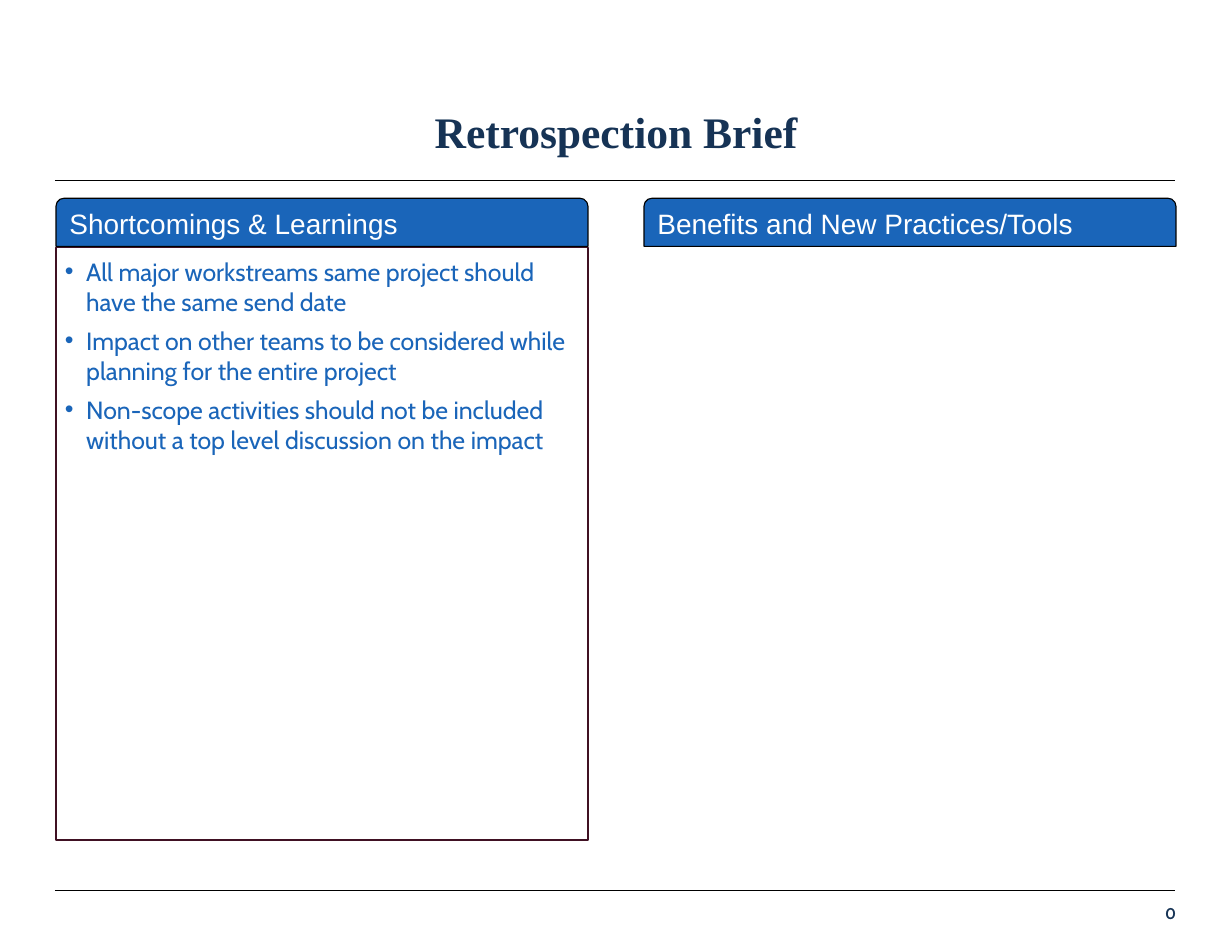
import pptx
import pptx.dml.color
import pptx.enum.shapes
import pptx.enum.text
import pptx.oxml
import pptx.oxml.ns
import pptx.util
from lxml import etree

COLORS = {"navy": "163355", "blue": "1A65B9", "plum": "401123", "black": "000000", "white": "FFFFFF"}
ALIGN = pptx.enum.text.PP_ALIGN
ANCHOR = pptx.enum.text.MSO_ANCHOR
SHAPES = pptx.enum.shapes.MSO_SHAPE


class BriefSlide:
    GRID_COLUMNS, GRID_ROWS = 22, 17

    def __init__(self, presentation):
        self.column = presentation.slide_width / self.GRID_COLUMNS
        self.row = presentation.slide_height / self.GRID_ROWS
        self.slide = presentation.slides.add_slide(presentation.slide_layouts[1])

    def box(self, left, top, width, height):
        return (round(left * self.column), round(top * self.row),
                round(width * self.column), round(height * self.row))

    def place(self, shape, area):
        shape.left, shape.top, shape.width, shape.height = self.box(*area)

    def color(self, name):
        return pptx.dml.color.RGBColor.from_string(COLORS[name])

    def outline(self, line, name, width):
        line.color.rgb = self.color(name)
        line.width = pptx.util.Pt(width)

    def frame(self, shape, anchor, insets):
        text_frame = shape.text_frame
        text_frame.word_wrap = True
        text_frame.auto_size = pptx.enum.text.MSO_AUTO_SIZE.NONE
        text_frame.vertical_anchor = anchor
        horizontal, vertical = (pptx.util.Inches(inset) for inset in insets)
        text_frame.margin_left = text_frame.margin_right = horizontal
        text_frame.margin_top = text_frame.margin_bottom = vertical
        return text_frame

    def set_text(self, paragraph, text, font, size, color, align=ALIGN.LEFT, bold=False):
        paragraph.text = text
        paragraph.alignment = align
        paragraph.space_before = pptx.util.Pt(0)
        for run in paragraph.runs:
            run.font.name = font
            run.font.size = pptx.util.Pt(size)
            run.font.bold = bold
            run.font.color.rgb = self.color(color)

    def rule(self, row):
        left, top, width, _ = self.box(0.98, row, 20, 0)
        connector = self.slide.shapes.add_connector(
            pptx.enum.shapes.MSO_CONNECTOR.STRAIGHT, left, top, left + width, top)
        self.outline(connector.line, "black", 0.25)
        etree.SubElement(connector._element.spPr, pptx.oxml.ns.qn("a:effectLst"))

    def title(self, text, area):
        shape = self.slide.shapes.title
        self.place(shape, area)
        paragraph = self.frame(shape, ANCHOR.MIDDLE, (0, 0)).paragraphs[0]
        self.set_text(paragraph, text, "Times New Roman", 28, "navy", ALIGN.CENTER, True)
        paragraph.line_spacing = 1.5

    def bullets(self, items, area):
        shape = self.slide.placeholders[1]
        self.place(shape, area)
        self.outline(shape.line, "plum", 0.75)
        text_frame = self.frame(shape, ANCHOR.TOP, (0.08, 0.08))
        text_frame.text = "\n".join(items)
        indent = pptx.util.Inches(0.19)
        for paragraph, item in zip(text_frame.paragraphs, items):
            self.set_text(paragraph, item, "Cabin", 16, "blue")
            paragraph.space_after = pptx.util.Pt(6)
            properties = paragraph._p.get_or_add_pPr()
            properties.set("marL", str(indent))
            properties.set("indent", str(-indent))
            etree.SubElement(properties, pptx.oxml.ns.qn("a:buChar"), char="•")

    def header(self, text, area):
        shape = self.slide.shapes.add_shape(SHAPES.ROUND_2_SAME_RECTANGLE, *self.box(*area))
        shape.shadow.inherit = False
        shape.fill.solid()
        shape.fill.fore_color.rgb = self.color("blue")
        self.outline(shape.line, "black", 0.75)
        text_frame = self.frame(shape, ANCHOR.MIDDLE, (0.1, 0.05))
        self.set_text(text_frame.paragraphs[0], text, "Arial", 18, "white")

    def page_number(self, text, area):
        shape = self.slide.shapes.add_textbox(*self.box(*area))
        text_frame = self.frame(shape, ANCHOR.TOP, (0, 0.05))
        self.set_text(text_frame.paragraphs[0], text, "Cabin", 10, "navy", ALIGN.RIGHT, True)


def main():
    presentation = pptx.Presentation()
    presentation.slide_width = pptx.util.Inches(11)
    presentation.slide_height = pptx.util.Inches(8.5)
    brief = BriefSlide(presentation)

    for row in (15.9, 3.22):
        brief.rule(row)
    brief.page_number("0", (19.7, 16.04, 1.3, 0.5))
    brief.title("Retrospection Brief", (1, 1.1, 20, 2))

    margin, panel_width, gap = 1, 9.5, 1
    brief.bullets([
        "All major workstreams same project should have the same send date",
        "Impact on other teams to be considered while planning for the entire project",
        "Non-scope activities should not be included without a top level discussion on the impact",
    ], (margin, 4.42, panel_width, 10.58))
    for index, heading in enumerate(["Shortcomings & Learnings", "Benefits and New Practices/Tools"]):
        brief.header(heading, (margin + index * (panel_width + gap), 3.54, panel_width, 0.86))

    presentation.save("out.pptx")


if __name__ == "__main__":
    main()
